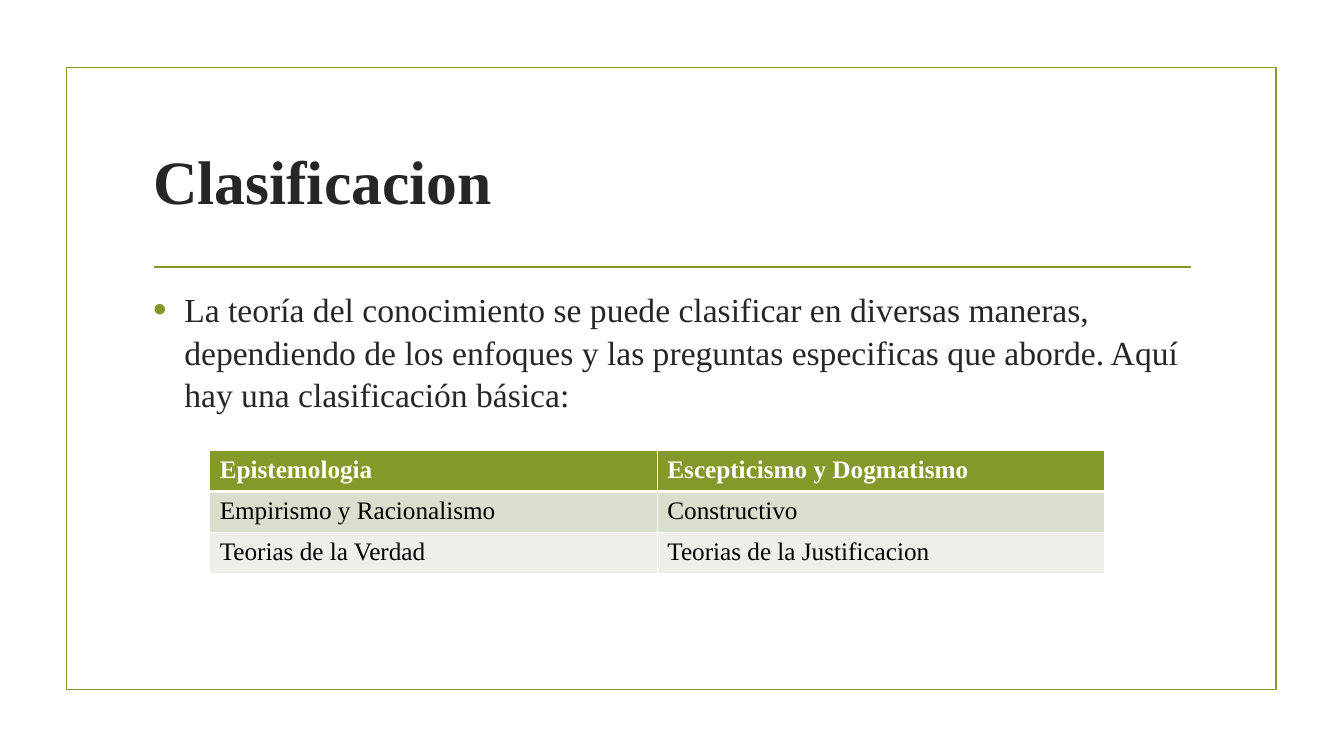
from pptx import Presentation
from pptx import util as u
from pptx.dml.color import RGBColor
from pptx.enum import shapes, text
from pptx.oxml import ns, xmlchemy

PX = 9144
FONT = "Times New Roman"
GREEN, INK, WHITE, BLACK = "83992A", "262626", "FFFFFF", "000000"
BODY = ("La teoría del conocimiento se puede clasificar en diversas maneras, "
        "dependiendo de los enfoques y las preguntas especificas que aborde. "
        "Aquí hay una clasificación básica:")
ROWS = [
    ("Epistemologia", "Escepticismo y Dogmatismo"),
    ("Empirismo y Racionalismo", "Constructivo"),
    ("Teorias de la Verdad", "Teorias de la Justificacion"),
]
ROW_FILLS = [GREEN, "D9DECD", "EDEFE8"]


def px(*lengths):
    """Turn px lengths into EMU."""
    return [length * PX for length in lengths]


def colour(hex_code):
    """Turn a hex string into a colour."""
    return RGBColor.from_string(hex_code)


def add_child(parent, tag, **attributes):
    """Append a drawing element with the given attributes."""
    child = xmlchemy.OxmlElement(tag)
    for name, value in attributes.items():
        child.set(name, str(value))
    parent.append(child)
    return child


def style_line(line, hex_code, points):
    """Give a line its colour and width."""
    line.color.rgb = colour(hex_code)
    line.width = u.Pt(points)


def style_runs(paragraph, size, hex_code, bold=False):
    """Format all runs of a paragraph."""
    for run in paragraph.runs:
        run.font.name = FONT
        run.font.size = u.Pt(size)
        run.font.bold = bold
        run.font.color.rgb = colour(hex_code)


def add_frame(slide, *box):
    """Draw the unfilled border of the slide."""
    shape = slide.shapes.add_shape(shapes.MSO_SHAPE.RECTANGLE, *px(*box))
    shape.shadow.inherit = False
    shape.fill.background()
    style_line(shape.line, GREEN, 1.25)


def add_rule(slide, left, right, y):
    """Draw the horizontal rule below the title."""
    rule = slide.shapes.add_connector(
        shapes.MSO_CONNECTOR.STRAIGHT, *px(left, y, right, y))
    style_line(rule.line, GREEN, 1.25)
    add_child(rule._element.spPr, "a:effectLst")


def add_text(slide, box, words, size, bold=False, anchor=text.MSO_ANCHOR.TOP):
    """Add a wrapped text box and return its paragraph."""
    frame = slide.shapes.add_textbox(*px(*box)).text_frame
    frame.word_wrap = True
    frame.vertical_anchor = anchor
    frame.text = words
    paragraph = frame.paragraphs[0]
    style_runs(paragraph, size, INK, bold)
    return paragraph


def add_bullet(paragraph):
    """Give a paragraph a hanging green bullet."""
    paragraph.line_spacing = 1.05
    paragraph.space_after = u.Pt(6)
    properties = paragraph._p.get_or_add_pPr()
    properties.set("marL", str(31 * PX))
    properties.set("indent", str(-31 * PX))
    bullet_colour = add_child(properties, "a:buClr")
    add_child(bullet_colour, "a:srgbClr", val=GREEN)
    add_child(properties, "a:buSzPct", val=115000)
    add_child(properties, "a:buFont", typeface="Arial")
    add_child(properties, "a:buChar", char="•")


def border_cell(cell, bottom_points):
    """Draw white borders around a cell."""
    properties = cell._tc.get_or_add_tcPr()
    widths = {"a:lnL": 1, "a:lnR": 1, "a:lnT": 1, "a:lnB": bottom_points}
    for position, (tag, points) in enumerate(widths.items()):
        border = add_child(properties, tag, w=u.Pt(points))
        properties.insert(position, border)
        fill = add_child(border, "a:solidFill")
        add_child(fill, "a:srgbClr", val=WHITE)


def add_classification(slide, *box):
    """Add the classification table with its header row."""
    table = slide.shapes.add_table(len(ROWS), len(ROWS[0]), *px(*box)).table
    style = table._tbl.tblPr.find(ns.qn("a:tableStyleId"))
    style.text = "{2D5ABB26-0587-4C30-8999-92F81FD0307C}"
    for row, (words, fill) in enumerate(zip(ROWS, ROW_FILLS)):
        header = row == 0
        for column, label in enumerate(words):
            cell = table.cell(row, column)
            cell.fill.solid()
            cell.fill.fore_color.rgb = colour(fill)
            cell.text_frame.text = label
            style_runs(cell.text_frame.paragraphs[0], 18,
                       WHITE if header else BLACK, header)
            border_cell(cell, 3 if header else 1)


def main():
    """Build and save the slide."""
    presentation = Presentation()
    presentation.slide_width, presentation.slide_height = u.Inches(13.33), u.Inches(7.5)
    slide = presentation.slides.add_slide(presentation.slide_layouts[6])
    add_frame(slide, 66, 67, 1200, 617)
    add_rule(slide, 153, 1181, 265)
    add_text(slide, (142, 107, 1050, 143), "Clasificacion", 44, True,
             text.MSO_ANCHOR.MIDDLE)
    add_bullet(add_text(slide, (142, 280, 1050, 363), BODY, 24))
    add_classification(slide, 208, 447, 888, 122)
    presentation.save("out.pptx")


if __name__ == "__main__":
    main()
